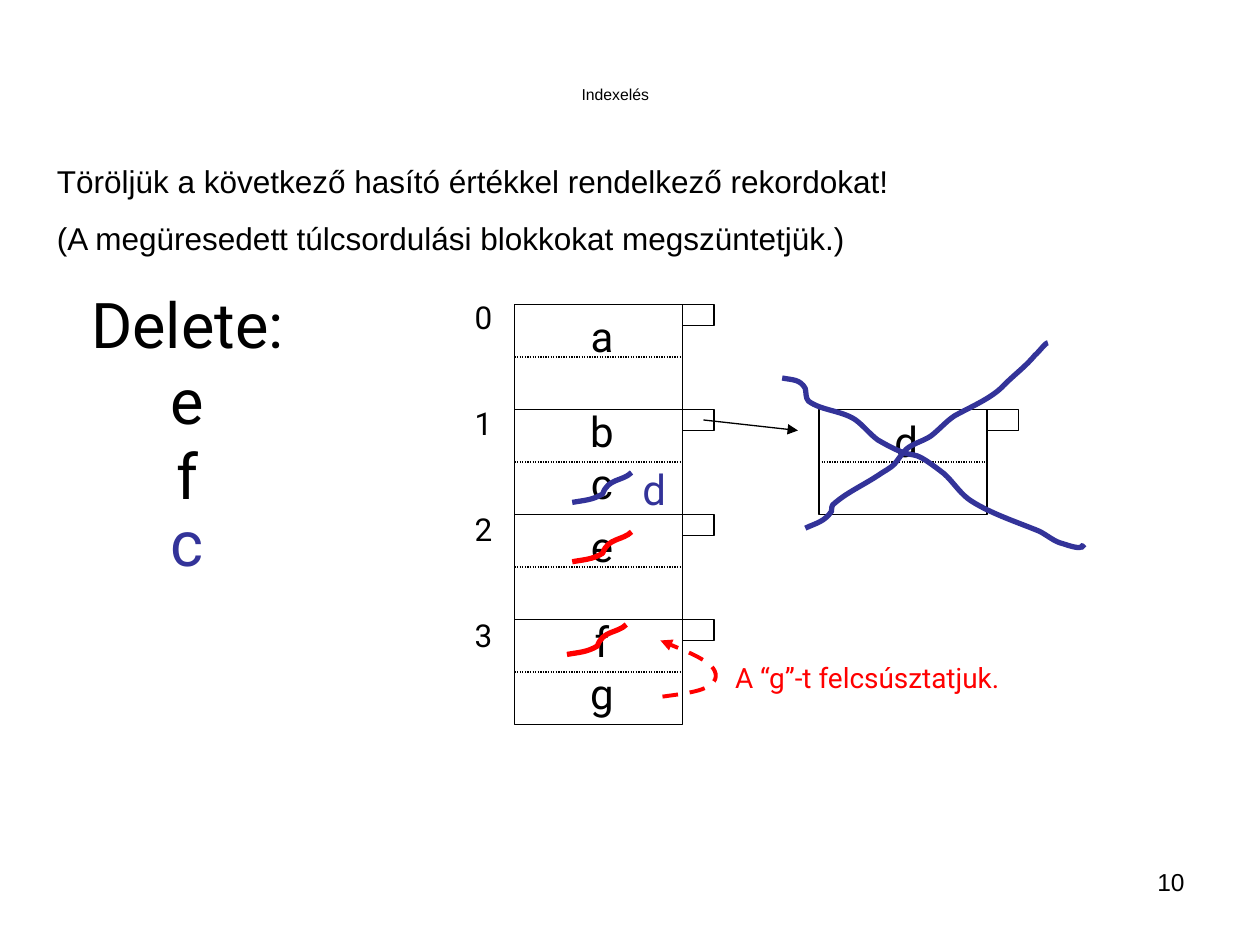
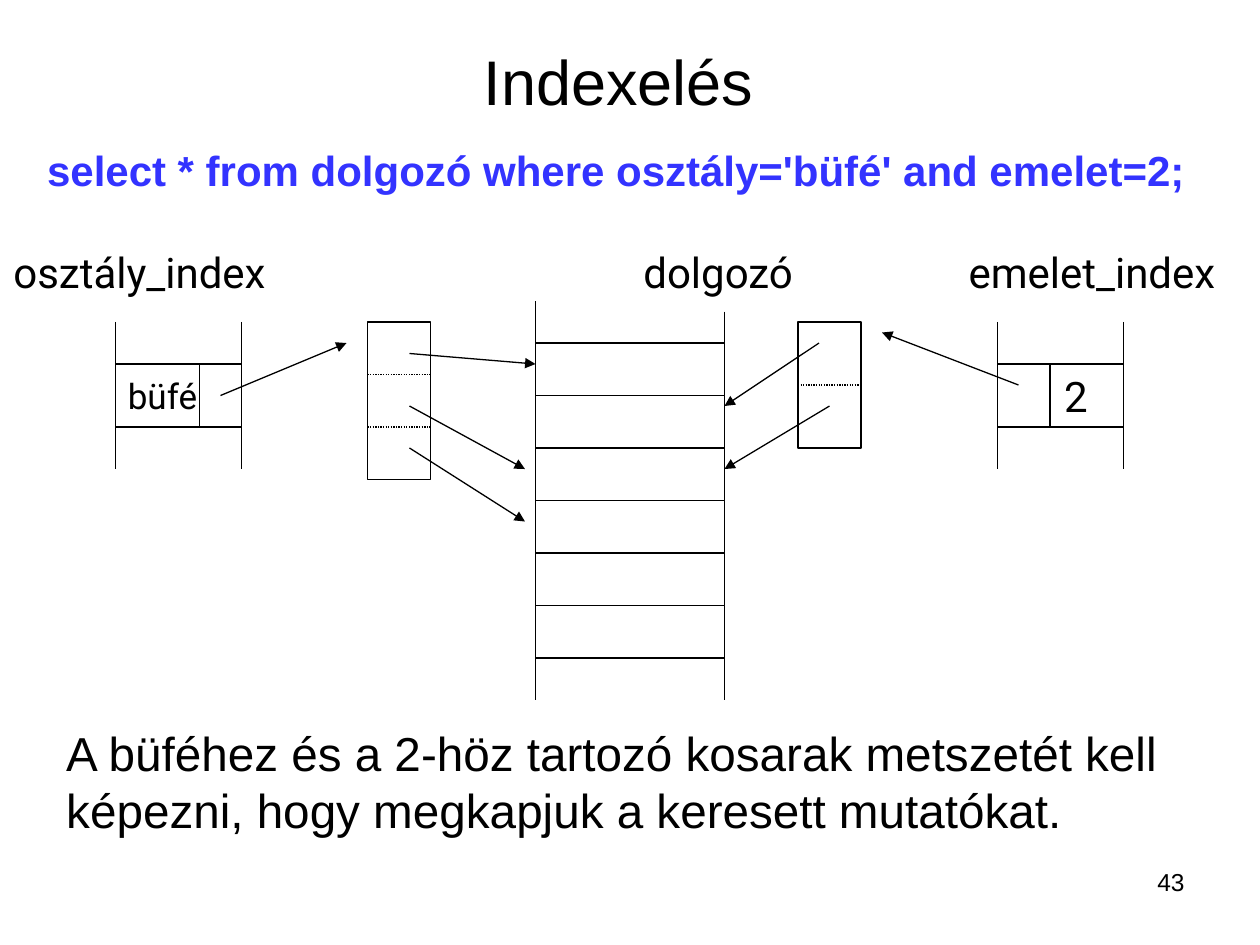
from dataclasses import dataclass

from lxml import etree
from pptx import Presentation
from pptx.dml.color import RGBColor
from pptx.enum.dml import MSO_LINE
from pptx.enum.shapes import MSO_CONNECTOR, MSO_SHAPE
from pptx.enum.text import MSO_ANCHOR, PP_ALIGN
from pptx.oxml.ns import qn
from pptx.shapes.base import BaseShape
from pptx.slide import Slide
from pptx.util import Emu, Inches, Pt

COLORS = {"ink": "000000", "paper": "FFFFFF", "red": "FF0000",
          "navy": "333399", "query": "3333FF"}
BODY, DIAGRAM = "Arial", "Roboto"
LEFT, CENTER, RIGHT = PP_ALIGN.LEFT, PP_ALIGN.CENTER, PP_ALIGN.RIGHT
TOP, MIDDLE = MSO_ANCHOR.TOP, MSO_ANCHOR.MIDDLE
DOTTED, DASHED = MSO_LINE.ROUND_DOT, MSO_LINE.DASH

WIDTH, HEIGHT = Inches(10), Inches(7.5)
COLUMNS = 120
CELL = WIDTH / COLUMNS  # the grid has 120 columns and 90 rows of square cells

Point = tuple[float, float]
Bezier = tuple[float, float, float, float, float, float]


@dataclass(frozen=True)
class Area:
    """A rectangle in grid columns and rows."""
    left: float
    top: float
    width: float
    height: float


@dataclass(frozen=True)
class Label:
    text: str
    area: Area
    size: float
    font: str = DIAGRAM
    color: str = "ink"
    align: PP_ALIGN = CENTER
    anchor: MSO_ANCHOR = MIDDLE
    wrap: bool = False
    bold: bool = False
    gap: float = 0
    tabs: tuple[float, ...] = ()


@dataclass(frozen=True)
class Stroke:
    """A hand-drawn curve: a start point and cubic Bezier pieces."""
    start: Point
    pieces: tuple[Bezier, ...]
    color: str
    width: float = 3
    dash: MSO_LINE | None = None
    arrow: bool = False


@dataclass(frozen=True)
class IndexBlock:
    left: float
    divider: float
    key: str
    key_size: float
    key_inset: float


@dataclass(frozen=True)
class Basket:
    left: float
    pointers: int
    pointer_rows: float


def cells(count: float) -> Emu:
    return Emu(round(count * CELL))


def rgb(name: str) -> RGBColor:
    return RGBColor.from_string(COLORS[name])


def style_line(shape: BaseShape, color: str = "ink", width: float = 0.75,
               dash: MSO_LINE | None = None, arrow: bool = False) -> None:
    shape.line.color.rgb = rgb(color)
    shape.line.width = Pt(width)
    if dash is not None:
        shape.line.dash_style = dash
    if arrow:
        outline = shape._element.spPr.find(qn("a:ln"))
        etree.SubElement(outline, qn("a:tailEnd"), type="triangle")


def write(shape: BaseShape, label: Label) -> None:
    frame = shape.text_frame
    frame.word_wrap = label.wrap
    frame.vertical_anchor = label.anchor
    frame.text = label.text
    for position, paragraph in enumerate(frame.paragraphs):
        paragraph.alignment = label.align
        if position and label.gap:
            paragraph.space_before = Pt(label.gap)
        if label.tabs:
            stops = etree.SubElement(paragraph._p.get_or_add_pPr(), qn("a:tabLst"))
            for column in label.tabs:
                etree.SubElement(stops, qn("a:tab"), pos=str(cells(column)), algn="l")
        for run in paragraph.runs:
            run.font.name = label.font
            run.font.size = Pt(label.size)
            run.font.bold = label.bold
            run.font.color.rgb = rgb(label.color)


def place(area: Area) -> tuple[Emu, Emu, Emu, Emu]:
    return cells(area.left), cells(area.top), cells(area.width), cells(area.height)


def add_label(slide: Slide, label: Label) -> None:
    write(slide.shapes.add_textbox(*place(label.area)), label)


def add_box(slide: Slide, area: Area) -> BaseShape:
    box = slide.shapes.add_shape(MSO_SHAPE.RECTANGLE, *place(area))
    box.shadow.inherit = False
    box.fill.solid()
    box.fill.fore_color.rgb = rgb("paper")
    style_line(box)
    return box


def add_line(slide: Slide, start: Point, end: Point,
             dash: MSO_LINE | None = None, arrow: bool = False) -> None:
    line = slide.shapes.add_connector(
        MSO_CONNECTOR.STRAIGHT, *(cells(value) for value in start + end))
    style_line(line, dash=dash, arrow=arrow)
    etree.SubElement(line._element.spPr, qn("a:effectLst"))


def add_stroke(slide: Slide, stroke: Stroke) -> None:
    """Build the outline through the joints, then bend each segment."""
    builder = slide.shapes.build_freeform(*(cells(value) for value in stroke.start))
    builder.add_line_segments(
        [(cells(piece[4]), cells(piece[5])) for piece in stroke.pieces], close=False)
    curve = builder.convert_to_shape()
    for segment, piece in zip(list(curve._element.iter(qn("a:lnTo"))), stroke.pieces):
        segment.tag = qn("a:cubicBezTo")
        segment.remove(segment[0])
        for x, y in zip(piece[::2], piece[1::2]):
            etree.SubElement(segment, qn("a:pt"), x=str(cells(x) - curve.left),
                             y=str(cells(y) - curve.top))
    curve.shadow.inherit = False
    curve.fill.background()
    style_line(curve, stroke.color, stroke.width, stroke.dash, stroke.arrow)


def strike_out(left: float, bottom: float, color: str) -> Stroke:
    shape = ((1.1, -0.2, 1.9, -0.2, 2.9, -0.8), (3.4, -2.3, 4.8, -2, 5.65, -2.85))
    pieces = tuple(tuple(value + (bottom if i % 2 else left)
                         for i, value in enumerate(piece)) for piece in shape)
    return Stroke((left, bottom), pieces, color)


def start_slide(deck: Presentation, number: int) -> Slide:
    slide = deck.slides.add_slide(deck.slide_layouts[6])
    add_label(slide, Label(str(number), Area(86, 82, 28, 6.2), 14, BODY,
                           align=RIGHT, anchor=TOP, wrap=True))
    return slide


# Deleting from a hash table
BUCKET_LEFT, BUCKET_TOP, BUCKET_WIDTH, BUCKET_ROWS = 49, 29, 16, 10
OVERFLOW_LEFT, RECORD_LEFT = 78, 54.93
HASH_LABELS = [
    Label("Indexelés", Area(9, 8, 99.2, 2), 9, BODY, wrap=True),
    Label("Töröljük a következő hasító értékkel rendelkező rekordokat!\n"
          "(A megüresedett túlcsordulási blokkokat megszüntetjük.)",
          Area(4.25, 14.8, 103.9, 10.3), 18, BODY, align=LEFT, anchor=TOP,
          wrap=True, gap=11.2),
    Label("0\n1\n2\n3", Area(44, 27.85, 4.1, 35), 18, gap=39),
    Label("Delete:\ve\vf", Area(6.75, 26.6, 22.2, 22.8), 36),
    Label("c", Area(15.1, 47.38, 5.3, 8.4), 36, color="navy"),
    Label("A “g”-t felcsúsztatjuk.", Area(68.82, 62.3, 28.4, 4.4), 16,
          color="red", align=LEFT),
]
# record: (letter, column, row, colour)
RECORDS = [*((letter, RECORD_LEFT, row, "ink") for letter, row in
             zip("abcefg", (29, 38, 43, 49, 58, 63))),
           ("d", 83.9, 39, "ink"), ("d", 59.9, 43.5, "navy")]
STROKES = [
    strike_out(54.5, 53.5, "red"),
    strike_out(54, 62.33, "red"),
    strike_out(54.5, 47.85, "navy"),
    Stroke((63.1, 66.35), (
        (64.9, 66.1, 66.7, 65.9, 67.6, 65.3), (68.3, 64.8, 68.4, 64.1, 67.7, 63.4),
        (66.8, 62.6, 64.8, 61.8, 62.9, 61)), "red", 2.25, DASHED, True),
    Stroke((76.7, 50.3), (
        (77.8, 49.8, 78.5, 49.7, 79.2, 48.7), (79.2, 48.5, 79.2, 48.2, 79.3, 48.1),
        (80.6, 46.9, 82.3, 46.2, 83.9, 45.1), (84.2, 44.9, 84.8, 44.6, 85.2, 44.2),
        (85.6, 43.7, 85.9, 43.2, 86.3, 42.8), (87, 42.2, 88, 42, 88.7, 41.5),
        (89.6, 40.8, 90.4, 39.8, 91.3, 39.4), (92.8, 38.6, 94.6, 37.8, 95.6, 36.7),
        (96.7, 35.6, 97.7, 34.9, 98.6, 33.8), (98.8, 33.7, 99.6, 32.6, 99.8, 32.65)),
        "navy"),
    Stroke((74.5, 36), (
        (75.5, 36.2, 76.2, 36.1, 76.7, 37), (76.8, 37.3, 76.7, 37.9, 77, 38.2),
        (78.2, 39.1, 80.2, 39.1, 81.5, 40), (82.3, 40.6, 82.8, 41.3, 83.6, 41.9),
        (88.1, 44.5, 85.9, 42, 89.9, 45.1), (90.7, 45.8, 91.3, 46.8, 92.2, 47.5),
        (94, 48.8, 97.1, 49.8, 99, 50.6), (99.8, 51, 100.4, 51.6, 101.3, 51.8),
        (103.9, 52.7, 102.6, 51.5, 103.3, 52.2)), "navy"),
]


def add_bucket(slide: Slide, left: float, top: float) -> None:
    """Draw a two-record block with its overflow pointer."""
    right, middle = left + BUCKET_WIDTH, top + BUCKET_ROWS / 2
    add_box(slide, Area(left, top, BUCKET_WIDTH, BUCKET_ROWS))
    add_box(slide, Area(right, top, 3, 2))
    add_line(slide, (left, middle), (right, middle), DOTTED)


def build_hash_slide(deck: Presentation) -> None:
    slide = start_slide(deck, 10)
    for bucket in range(4):
        add_bucket(slide, BUCKET_LEFT, BUCKET_TOP + bucket * BUCKET_ROWS)
    add_bucket(slide, OVERFLOW_LEFT, BUCKET_TOP + BUCKET_ROWS)
    add_line(slide, (67, 40), (76, 41), arrow=True)
    for letter, column, row, color in RECORDS:
        add_label(slide, Label(letter, Area(column, row, 4.8, 6), 24, color=color))
    for label in HASH_LABELS:
        add_label(slide, label)
    for stroke in STROKES:
        add_stroke(slide, stroke)


# Intersecting two indexes; rows of the diagram count down from its top
DIAGRAM_TOP = 30.67
TABLE_LEFT, TABLE_RIGHT, TABLE_ROW, RECORD_ROWS, RECORD_COUNT = 51, 69, 2, 5, 6
INDEX_WIDTH, INDEX_ROW, INDEX_ROWS, RAIL_ROWS = 12, 4, 6, 4
BASKET_WIDTH = 6
INDEXES = [IndexBlock(11, 19, "büfé", 20, 1.2), IndexBlock(95, 100, "2", 24, 6.35)]
BASKETS = [Basket(35, 3, 5), Basket(76, 2, 6)]
POINTERS = [((78, 2), (69, 8)), ((79, 8), (69, 14)), ((97, 6), (84, 1)),
            ((21, 7), (33, 2)), ((39, 3), (51, 4)), ((39, 8), (50, 14)),
            ((39, 12), (50, 19))]
QUERY_LABELS = [
    Label("Indexelés", Area(44.9, 3.45, 28.3, 8.4), 36, BODY, align=LEFT,
          anchor=TOP, wrap=True),
    Label("select * from dolgozó where osztály='büfé' and emelet=2;",
          Area(3.3, 12.42, 114.4, 7.56), 24, BODY, "query", LEFT, wrap=True, bold=True),
    Label("osztály_index\tdolgozó\temelet_index", Area(0.1, 22.86, 118.8, 6), 24,
          align=LEFT, tabs=(60, 90.97)),
    Label("A büféhez és a 2-höz tartozó kosarak metszetét kell képezni, "
          "hogy megkapjuk a keresett mutatókat.",
          Area(5.13, 66.85, 109, 15), 27.2, BODY, align=LEFT, wrap=True),
]


def down(point: Point) -> Point:
    """Move a diagram point to its place on the slide grid."""
    return point[0], point[1] + DIAGRAM_TOP


def add_rail(slide: Slide, column: float, row: float, rows: float = RAIL_ROWS) -> None:
    add_line(slide, down((column, row)), down((column, row + rows)))


def add_index(slide: Slide, index: IndexBlock) -> None:
    area = Area(index.left, INDEX_ROW + DIAGRAM_TOP, INDEX_WIDTH, INDEX_ROWS)
    entry = add_box(slide, area)
    write(entry, Label(index.key, area, index.key_size, align=LEFT))
    entry.text_frame.margin_left = cells(index.key_inset)
    for column in (index.left, index.left + INDEX_WIDTH):
        for row in (0, INDEX_ROW + INDEX_ROWS):
            add_rail(slide, column, row)
    add_rail(slide, index.divider, INDEX_ROW, INDEX_ROWS)


def add_basket(slide: Slide, basket: Basket) -> None:
    add_box(slide, Area(basket.left, DIAGRAM_TOP, BASKET_WIDTH,
                        basket.pointers * basket.pointer_rows))
    for pointer in range(1, basket.pointers):
        row = pointer * basket.pointer_rows
        add_line(slide, down((basket.left, row)),
                 down((basket.left + BASKET_WIDTH, row)), DOTTED)


def build_query_slide(deck: Presentation) -> None:
    slide = start_slide(deck, 43)
    for record in range(RECORD_COUNT):
        add_box(slide, Area(TABLE_LEFT, DIAGRAM_TOP + TABLE_ROW + record * RECORD_ROWS,
                            TABLE_RIGHT - TABLE_LEFT, RECORD_ROWS))
    for column, rail_top in ((TABLE_LEFT, -2), (TABLE_RIGHT, -1)):
        add_rail(slide, column, rail_top)
        add_rail(slide, column, TABLE_ROW + RECORD_COUNT * RECORD_ROWS)
    for index in INDEXES:
        add_index(slide, index)
    for basket in BASKETS:
        add_basket(slide, basket)
    for start, end in POINTERS:
        add_line(slide, down(start), down(end), arrow=True)
    for label in QUERY_LABELS:
        add_label(slide, label)


def main() -> None:
    deck = Presentation()
    deck.slide_width, deck.slide_height = WIDTH, HEIGHT
    build_hash_slide(deck)
    build_query_slide(deck)
    deck.save("out.pptx")


if __name__ == "__main__":
    main()
